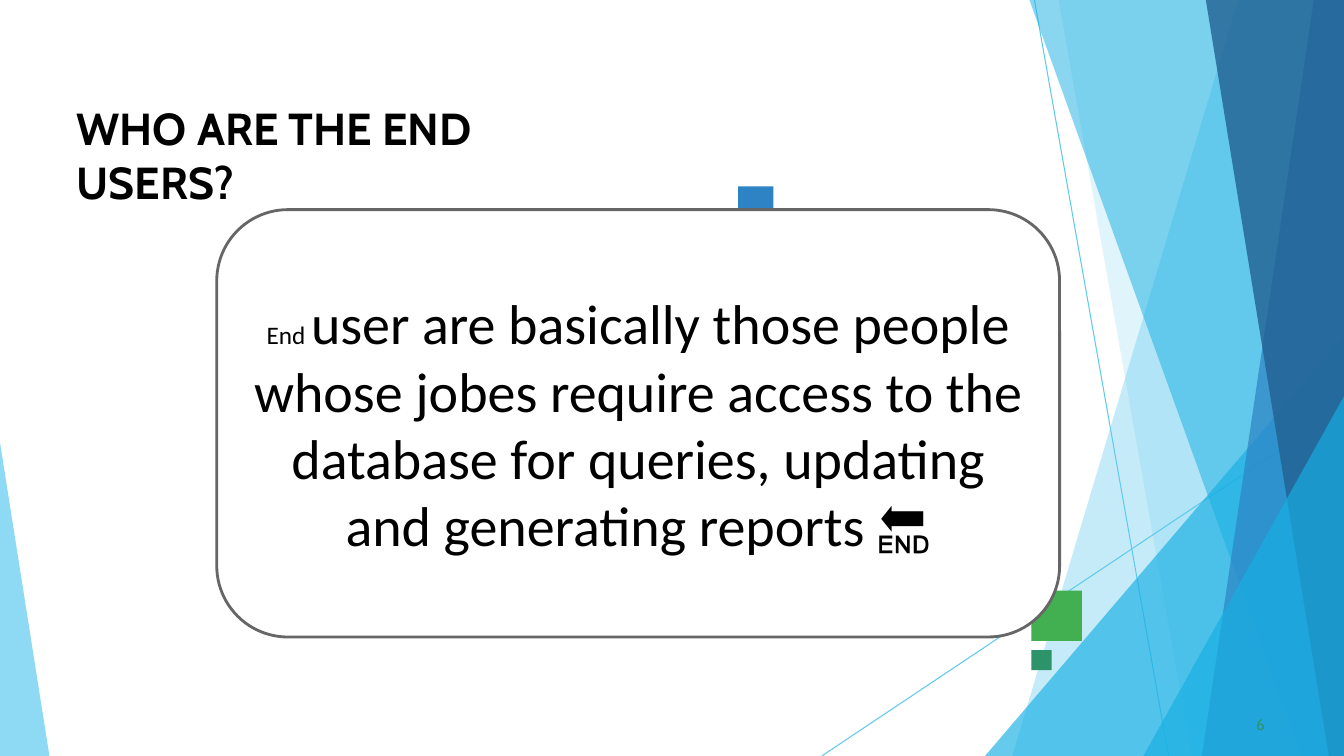
from lxml import etree
from pptx import Presentation
from pptx.dml.color import RGBColor
from pptx.enum import shapes, text
from pptx.oxml import ns
from pptx.util import Inches, Pt

WIDTH, HEIGHT = 13.33, 7.5

TITLE = "WHO ARE THE END USERS?"
DEFINITION = [
    ("End ", 18),
    ("user are basically those people whose jobes require access to the "
     "database for queries, updating and generating reports 🔚", 40),
]
PAGE_NUMBER = "6"

RAYS = [((10.26, 0), (11.59, HEIGHT)), ((WIDTH, 4.04), (8.15, HEIGHT))]
RAY_COLOR = "5FCAEE"

# top of slanted edge, x where it meets the bottom, side of slide, color, opacity %
FACETS = [
    ((12.28, 0), 10.04, WIDTH, "5FCAEE", 36),
    ((10.5, 0), 11.82, WIDTH, "5FCAEE", 20),
    ((WIDTH, 3.33), 9.77, WIDTH, "17AFE3", 66),
    ((10.21, 0), 12.91, WIDTH, "17AFE3", 50),
    ((13.03, 0), 11.92, WIDTH, "2D83C3", 70),
    ((11.96, 0), 13.18, WIDTH, "226192", 80),
    ((WIDTH, 3.93), 11.34, WIDTH, "17AFE3", 66),
    ((0, 4.39), 0.49, 0, "5FCAEE", 70),
]

# left, top, side length, color
SQUARES = [
    (10.23, 5.86, 0.5, "42AF51"),
    (7.32, 1.85, 0.35, "2D83C3"),
    (10.23, 6.45, 0.2, "2D936B"),
]


def rgb(color):
    return RGBColor.from_string(color)


def paint(shape, color, opacity=100):
    """Give the shape a flat fill without outline or shadow."""
    shape.shadow.inherit = False
    shape.line.fill.background()
    shape.fill.solid()
    shape.fill.fore_color.rgb = rgb(color)
    if opacity < 100:
        color_element = shape.fill._xPr.find(".//" + ns.qn("a:srgbClr"))
        alpha = etree.SubElement(color_element, ns.qn("a:alpha"))
        alpha.set("val", str(opacity * 1000))


def add_ray(slide, start, end):
    ends = [Inches(value) for value in start + end]
    ray = slide.shapes.add_connector(shapes.MSO_CONNECTOR.STRAIGHT, *ends)
    ray.line.color.rgb = rgb(RAY_COLOR)
    ray.line.width = Pt(0.75)
    etree.SubElement(ray._element.spPr, ns.qn("a:effectLst"))


def add_facet(slide, top, bottom_x, side, color, opacity):
    """Fill the area between a slanted edge and one side of the slide."""
    corners = [(bottom_x, HEIGHT), (side, HEIGHT), (side, top[1])]
    builder = slide.shapes.build_freeform(Inches(top[0]), Inches(top[1]))
    builder.add_line_segments([(Inches(x), Inches(y)) for x, y in corners])
    paint(builder.convert_to_shape(), color, opacity)


def place(shape, left, top, width, height):
    shape.left, shape.top = Inches(left), Inches(top)
    shape.width, shape.height = Inches(width), Inches(height)


def write(shape, runs, font="Calibri", color="000000", bold=False, inset=0.1,
          top_inset=0.05, space_before=0, align=text.PP_ALIGN.LEFT,
          anchor=text.MSO_ANCHOR.TOP):
    """Fill the shape with one paragraph made of (words, size) runs."""
    frame = shape.text_frame
    frame.word_wrap = True
    frame.auto_size = text.MSO_AUTO_SIZE.NONE
    frame.vertical_anchor = anchor
    frame.margin_left = frame.margin_right = Inches(inset)
    frame.margin_top, frame.margin_bottom = Inches(top_inset), Inches(inset / 2)
    paragraph = frame.paragraphs[0]
    paragraph.alignment = align
    paragraph.space_before = Pt(space_before)
    for words, size in runs:
        run = paragraph.add_run()
        run.text = words
        run.font.name = font
        run.font.size = Pt(size)
        run.font.bold = bold
        run.font.color.rgb = rgb(color)


def main():
    presentation = Presentation()
    presentation.slide_width = Inches(WIDTH)
    presentation.slide_height = Inches(HEIGHT)
    slide = presentation.slides.add_slide(presentation.slide_layouts[5])

    for ray in RAYS:
        add_ray(slide, *ray)
    for facet in FACETS:
        add_facet(slide, *facet)
    for left, top, side, color in SQUARES:
        square = slide.shapes.add_shape(
            shapes.MSO_SHAPE.RECTANGLE, *map(Inches, (left, top, side, side)))
        paint(square, color)

    title = slide.shapes.title
    place(title, 0.76, 0.98, 5.48, 0.85)
    write(title, [(TITLE, 32)], font="Cabin", bold=True, inset=0,
          top_inset=0.02, space_before=1.3)

    number = slide.shapes.add_textbox(0, 0, 0, 0)
    place(number, 12.46, 7.08, 0.13, 0.15)
    write(number, [(PAGE_NUMBER, 11)], font="Cabin", color="2D936B", inset=0,
          top_inset=0.01, space_before=0.6)

    card = slide.shapes.add_shape(
        shapes.MSO_SHAPE.ROUNDED_RECTANGLE, *map(Inches, (2.15, 2.08, 8.36, 4.24)))
    paint(card, "FFFFFF")
    card.line.color.rgb = rgb("666666")
    card.line.width = Pt(2)
    write(card, DEFINITION, align=text.PP_ALIGN.CENTER, anchor=text.MSO_ANCHOR.MIDDLE)

    presentation.save("out.pptx")


if __name__ == "__main__":
    main()
